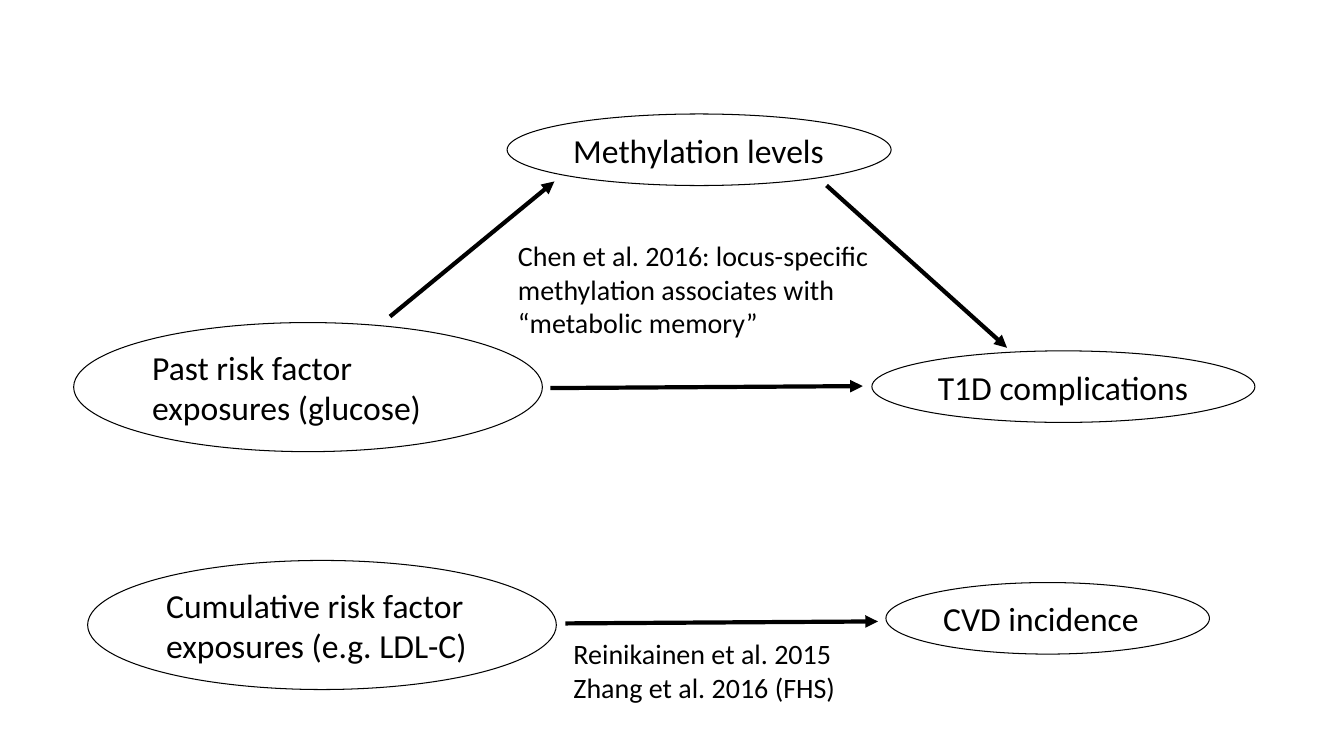
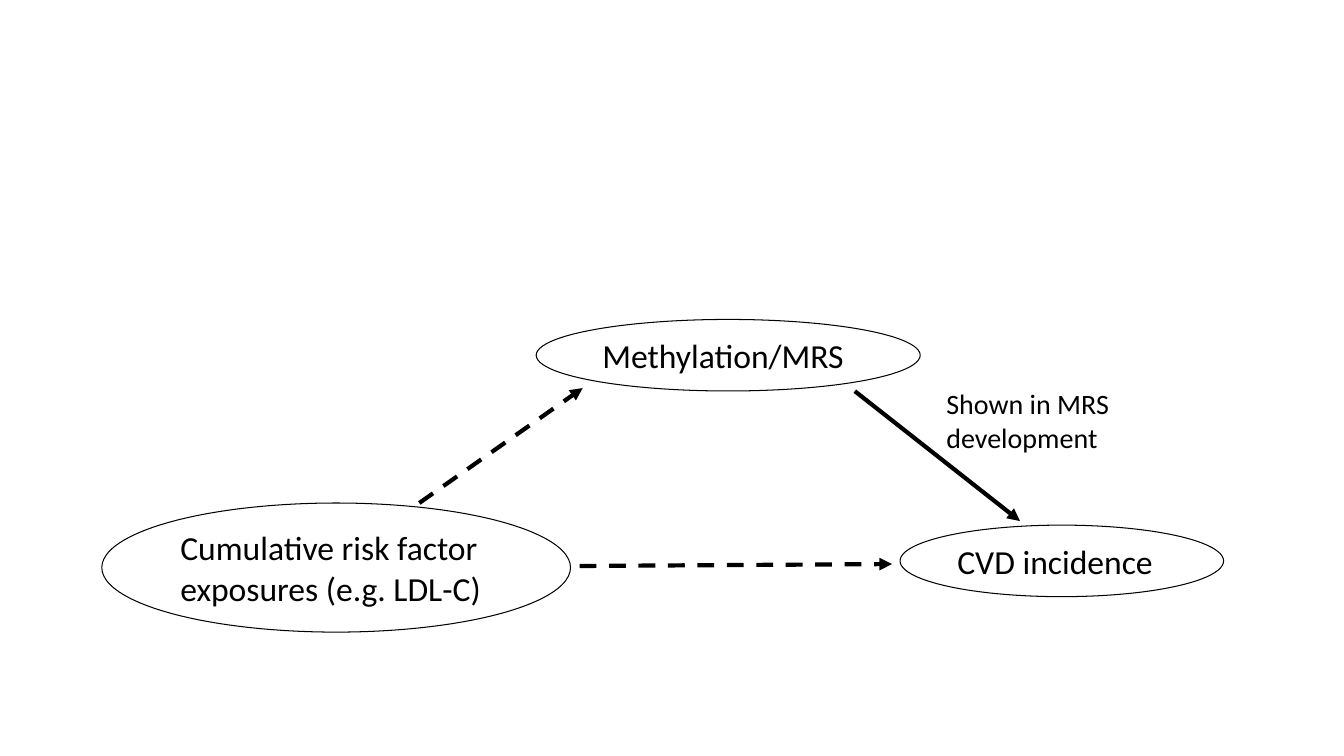
import dataclasses
import typing

import lxml.etree
import pptx
import pptx.dml.color
import pptx.enum.dml
import pptx.enum.shapes
import pptx.enum.text
import pptx.oxml.ns
import pptx.shapes.base
import pptx.slide
import pptx.util


@dataclasses.dataclass(frozen=True)
class Theme:
    font: str = "Calibri"
    ink: pptx.dml.color.RGBColor = pptx.dml.color.RGBColor(0, 0, 0)
    node_size: float = 24
    note_size: float = 20
    outline_width: float = 0.75
    arrow_width: float = 3


@dataclasses.dataclass(frozen=True)
class Node:
    text: str
    left: float
    top: float
    width: float
    height: float = 51.1


@dataclasses.dataclass(frozen=True)
class Note:
    lines: tuple[str, ...]
    left: float
    top: float
    width: float
    height: float


@dataclasses.dataclass(frozen=True)
class Arrow:
    start: tuple[float, float]
    end: tuple[float, float]
    dashed: bool = False


Element = typing.Union[Node, Note, Arrow]
THEME = Theme()
EXPOSURE_WIDTH, EXPOSURE_HEIGHT = 334.8, 92.2
METHYLATION_WIDTH = 274.3
COMPLICATIONS_WIDTH = 273.6
INCIDENCE_WIDTH = 231.1


def write_text(
    shape: pptx.shapes.base.BaseShape,
    lines: tuple[str, ...],
    *,
    size: float,
    anchor: pptx.enum.text.MSO_ANCHOR = pptx.enum.text.MSO_ANCHOR.TOP,
) -> None:
    frame = shape.text_frame
    frame.word_wrap = True
    frame.auto_size = pptx.enum.text.MSO_AUTO_SIZE.SHAPE_TO_FIT_TEXT
    frame.vertical_anchor = anchor
    frame.text = "\n".join(lines)
    for paragraph in frame.paragraphs:
        paragraph.alignment = pptx.enum.text.PP_ALIGN.LEFT
        for run in paragraph.runs:
            run.font.name = THEME.font
            run.font.size = pptx.util.Pt(size)
            run.font.color.rgb = THEME.ink


def frame_of(element: typing.Union[Node, Note]) -> list[pptx.util.Length]:
    lengths = (element.left, element.top, element.width, element.height)
    return [pptx.util.Pt(length) for length in lengths]


def draw_node(slide: pptx.slide.Slide, node: Node) -> None:
    shape = slide.shapes.add_shape(
        pptx.enum.shapes.MSO_SHAPE.OVAL, *frame_of(node)
    )
    shape.shadow.inherit = False
    shape.fill.background()
    shape.line.color.rgb = THEME.ink
    shape.line.width = pptx.util.Pt(THEME.outline_width)
    write_text(
        shape,
        (node.text,),
        size=THEME.node_size,
        anchor=pptx.enum.text.MSO_ANCHOR.MIDDLE,
    )


def draw_note(slide: pptx.slide.Slide, note: Note) -> None:
    textbox = slide.shapes.add_textbox(*frame_of(note))
    write_text(textbox, note.lines, size=THEME.note_size)


def draw_arrow(slide: pptx.slide.Slide, arrow: Arrow) -> None:
    connector = slide.shapes.add_connector(
        pptx.enum.shapes.MSO_CONNECTOR.STRAIGHT,
        *[pptx.util.Pt(length) for length in arrow.start + arrow.end],
    )
    connector.line.color.rgb = THEME.ink
    connector.line.width = pptx.util.Pt(THEME.arrow_width)
    if arrow.dashed:
        connector.line.dash_style = pptx.enum.dml.MSO_LINE.DASH
    properties = connector._element.spPr
    lxml.etree.SubElement(
        properties.get_or_add_ln(), pptx.oxml.ns.qn("a:tailEnd"), type="triangle"
    )
    lxml.etree.SubElement(properties, pptx.oxml.ns.qn("a:effectLst"))


def cumulative_pathway(left: float, top: float, dashed: bool) -> list[Element]:
    return [
        Node(
            "Cumulative risk factor exposures (e.g. LDL-C)",
            left,
            top,
            EXPOSURE_WIDTH,
            EXPOSURE_HEIGHT,
        ),
        Node("CVD incidence", left + 570.2, top + 15.8, INCIDENCE_WIDTH),
        Arrow((left + 341.3, top + 45), (left + 564.5, top + 43.6), dashed),
    ]


SLIDES: list[list[Element]] = [
    cumulative_pathway(62.6, 400.3, dashed=False)
    + [
        Note(
            ("Reinikainen et al. 2015", "Zhang et al. 2016 (FHS)"),
            402.5,
            451.4,
            231.1,
            79.9,
        ),
        Node(
            "Past risk factor exposures (glucose)",
            52.6,
            230.4,
            EXPOSURE_WIDTH,
            EXPOSURE_HEIGHT,
        ),
        Node("T1D complications", 622.8, 250.6, COMPLICATIONS_WIDTH),
        Node("Methylation levels", 362.2, 81.4, METHYLATION_WIDTH),
        Arrow((590.4, 132.5), (719.3, 248.4)),
        Arrow((278.6, 226.1), (396, 129.6)),
        Arrow((393.1, 277.2), (616.3, 275.8)),
        Note(
            (
                "Chen et al. 2016: locus-specific methylation "
                "associates with “metabolic memory”",
            ),
            362.9,
            167,
            311,
            104.4,
        ),
    ],
    cumulative_pathway(72.7, 359.3, dashed=True)
    + [
        Node("Methylation/MRS", 383, 228.2, METHYLATION_WIDTH),
        Arrow((610.6, 279.4), (728.6, 372.2)),
        Arrow((299.5, 359.3), (416.2, 277.2), dashed=True),
        Note(("Shown in MRS development",), 668.9, 272.9, 231.1, 55.4),
    ],
]
DRAWERS: dict[type, typing.Callable[..., None]] = {
    Node: draw_node,
    Note: draw_note,
    Arrow: draw_arrow,
}


def main() -> None:
    presentation = pptx.Presentation()
    presentation.slide_width = pptx.util.Pt(960)
    presentation.slide_height = pptx.util.Pt(540)
    blank_layout = presentation.slide_layouts[6]
    for elements in SLIDES:
        slide = presentation.slides.add_slide(blank_layout)
        for element in elements:
            DRAWERS[type(element)](slide, element)
    presentation.save("out.pptx")


main()
